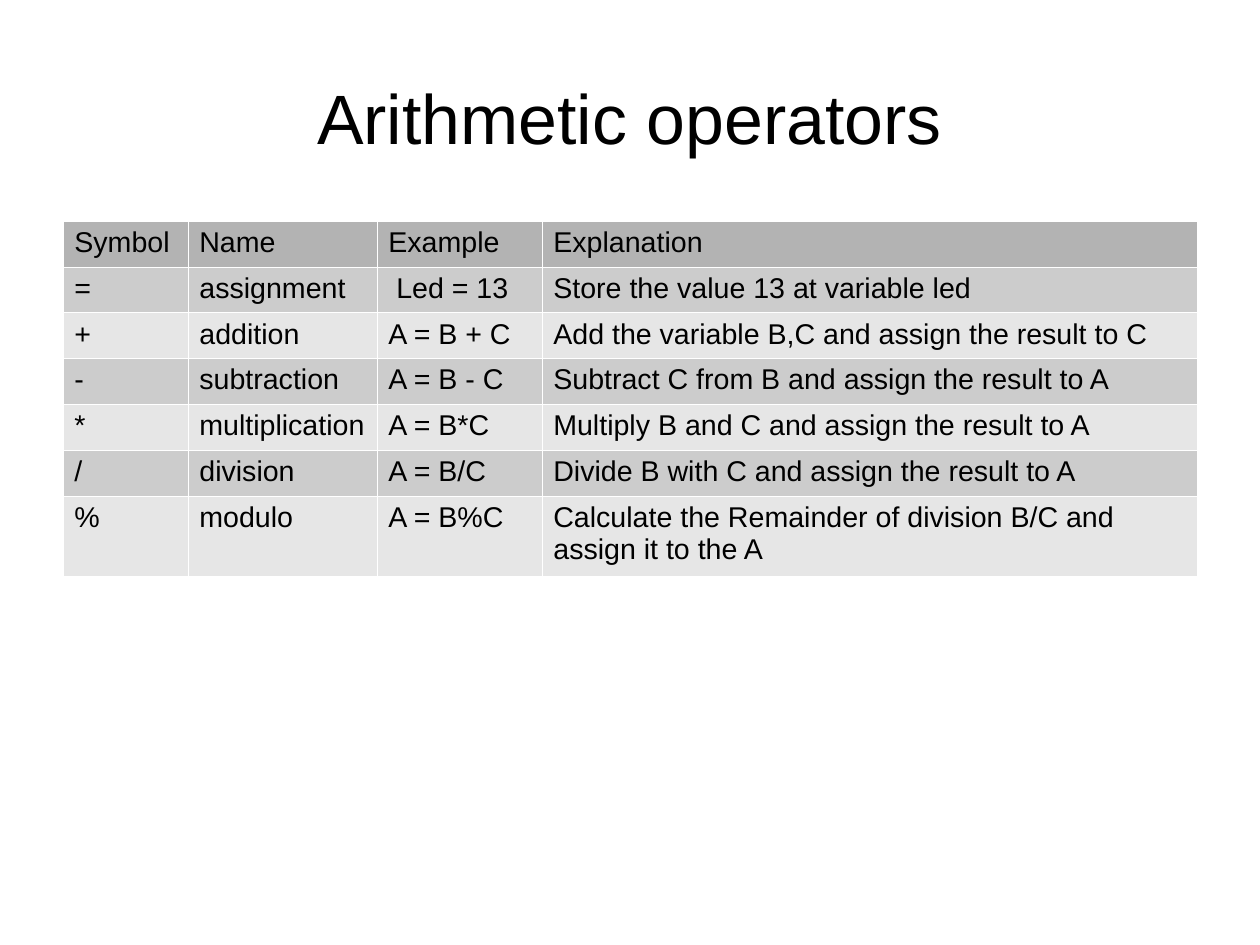
"""Build a slide with a table of arithmetic operators."""
import dataclasses

import lxml.etree
import pptx
import pptx.dml.color
import pptx.enum.text
import pptx.oxml.ns
import pptx.util


@dataclasses.dataclass(frozen=True)
class Theme:
    font: str = "Arial"
    title_size: int = 44
    cell_size: int = 18
    ink: str = "000000"
    border: str = "FFFFFF"
    header: str = "B3B3B3"
    bands: tuple = ("CCCCCC", "E6E6E6")


theme = Theme()
PX = 8000
BORDER_WIDTH = 762


def write(frame, text, size, align=pptx.enum.text.PP_ALIGN.LEFT):
    para = frame.paragraphs[0]
    para.alignment = align
    span = para.add_run()
    span.text = text
    span.font.name = theme.font
    span.font.size = pptx.util.Pt(size)
    span.font.color.rgb = pptx.dml.color.RGBColor.from_string(theme.ink)


def add_borders(cell):
    properties = cell._tc.get_or_add_tcPr()
    for side in ("lnL", "lnR", "lnT", "lnB"):
        line = lxml.etree.SubElement(properties, pptx.oxml.ns.qn(f"a:{side}"), w=str(BORDER_WIDTH))
        fill = lxml.etree.SubElement(line, pptx.oxml.ns.qn("a:solidFill"))
        lxml.etree.SubElement(fill, pptx.oxml.ns.qn("a:srgbClr"), val=theme.border)


deck = pptx.Presentation()
deck.slide_width = 1260 * PX
deck.slide_height = 945 * PX
page = deck.slides.add_slide(deck.slide_layouts[6])

left, width = 63 * PX, 1134 * PX

title_box = page.shapes.add_textbox(left, 38 * PX, width, 158 * PX)
title_frame = title_box.text_frame
title_frame.word_wrap = True
title_frame.vertical_anchor = pptx.enum.text.MSO_ANCHOR.MIDDLE
title_frame.margin_left = title_frame.margin_right = 0
title_frame.margin_top = title_frame.margin_bottom = 0
write(title_frame, "Arithmetic operators", theme.title_size, align=pptx.enum.text.PP_ALIGN.CENTER)

operators = [
    ("Symbol", "Name", "Example", "Explanation"),
    ("=", "assignment", " Led = 13", "Store the value 13 at variable led"),
    ("+", "addition", "A = B + C", "Add the variable B,C and assign the result to C"),
    ("-", "subtraction", "A = B - C", "Subtract C from B and assign the result to A"),
    ("*", "multiplication", "A = B*C", "Multiply B and C and assign the result to A"),
    ("/", "division", "A = B/C", "Divide B with C and assign the result to A"),
    ("%", "modulo", "A = B%C", "Calculate the Remainder of division B/C and assign it to the A"),
]
column_widths = (125, 189, 165, 655)
row_heights = [44] * 6 + [75]

table = page.shapes.add_table(
    len(operators), len(column_widths), left, 221 * PX, width, sum(row_heights) * PX
).table
table.first_row = False
table.horz_banding = False
for column, column_width in zip(table.columns, column_widths):
    column.width = column_width * PX

for index, (row, height, texts) in enumerate(zip(table.rows, row_heights, operators)):
    row.height = height * PX
    color = theme.bands[(index - 1) % 2] if index else theme.header
    for cell, text in zip(row.cells, texts):
        add_borders(cell)
        cell.fill.solid()
        cell.fill.fore_color.rgb = pptx.dml.color.RGBColor.from_string(color)
        write(cell.text_frame, text, theme.cell_size)

deck.save("out.pptx")
